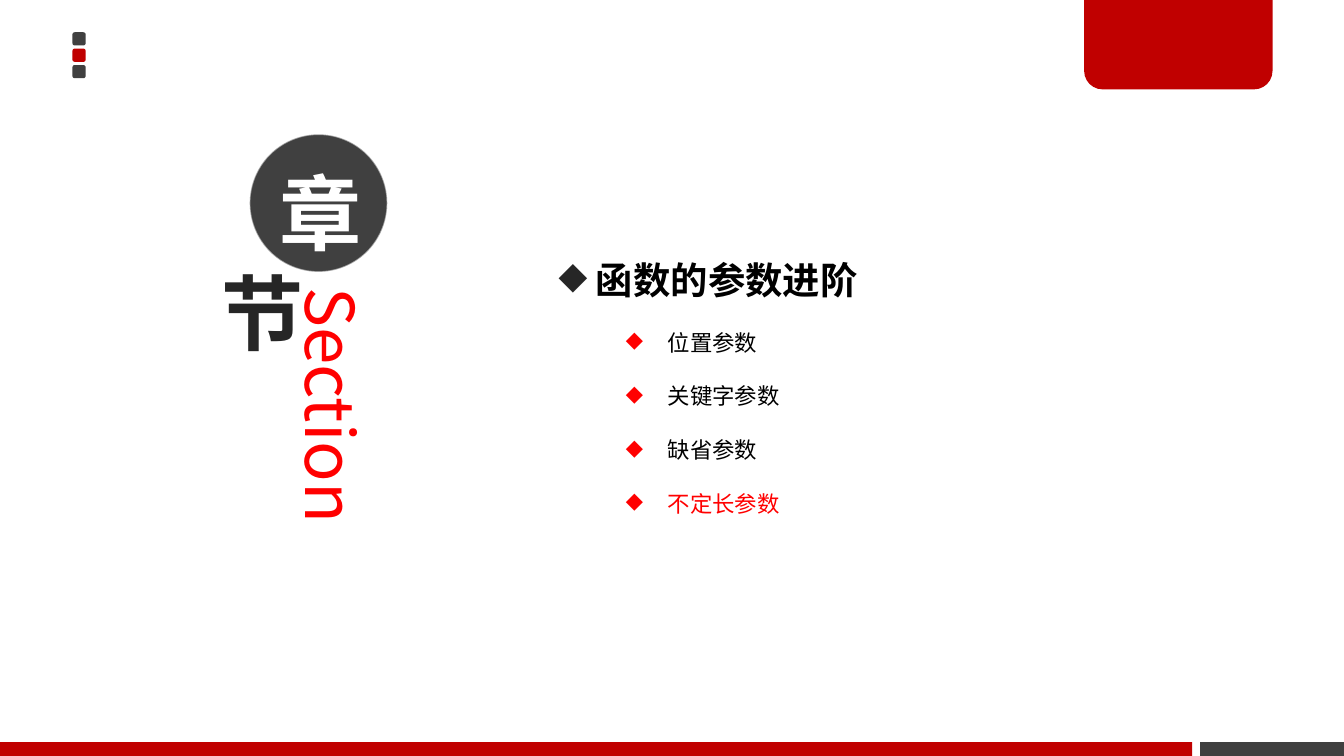
import pptx
import pptx.dml.color
import pptx.enum.shapes
import pptx.enum.text
import pptx.oxml.ns
import pptx.util
from lxml import etree
from pptx.util import Cm, Pt

COLORS = {
    "red": "C00000", "bright": "FF0000", "grey": "404040",
    "dark": "262626", "black": "000000", "white": "FFFFFF",
}
FONT = "Noto Sans CJK SC"
SLIDE_W, SLIDE_H = 25.4, 14.29
SHAPE = pptx.enum.shapes.MSO_SHAPE
qn = pptx.oxml.ns.qn


def rgb(name):
    return pptx.dml.color.RGBColor.from_string(COLORS[name])


def add_block(slide, kind, left, top, width, height, color=None):
    block = slide.shapes.add_shape(kind, Cm(left), Cm(top), Cm(width), Cm(height))
    block.shadow.inherit = False
    block.line.fill.background()
    if color:
        block.fill.solid()
        block.fill.fore_color.rgb = rgb(color)
    else:
        block.fill.background()
    return block


def set_font(paragraph, size, color, bold=False):
    """Format a paragraph, for Latin and East Asian letters alike."""
    font = paragraph.font
    font.name, font.size, font.bold = FONT, Pt(size), bold
    font.color.rgb = rgb(color)
    latin = font._element.find(qn("a:latin"))
    east_asian = etree.Element(qn("a:ea"), typeface=FONT)
    latin.addnext(east_asian)


def set_bullet(paragraph, color, margin, hanging):
    properties = paragraph._p.get_or_add_pPr()
    properties.set("marL", str(Cm(margin)))
    properties.set("indent", str(-Cm(hanging)))
    bullet_color = etree.Element(qn("a:buClr"))
    etree.SubElement(bullet_color, qn("a:srgbClr"), val=COLORS[color])
    bullet_char = etree.Element(qn("a:buChar"), char="◆")
    font_defaults = properties.find(qn("a:defRPr"))
    for part in (bullet_color, bullet_char):
        font_defaults.addprevious(part)


def set_insets(frame, bottom=0.1):
    frame.margin_left = frame.margin_right = Cm(0.18)
    frame.margin_top, frame.margin_bottom = Cm(0.1), Cm(bottom)


def add_character(circle, character, color, bottom=0.1):
    """Centre one large character in a circle and return its paragraph."""
    frame = circle.text_frame
    set_insets(frame, bottom)
    frame.word_wrap = True
    frame.vertical_anchor = pptx.enum.text.MSO_ANCHOR.MIDDLE
    paragraph = frame.paragraphs[0]
    paragraph.text = character
    paragraph.alignment = pptx.enum.text.PP_ALIGN.CENTER
    set_font(paragraph, 44, color, bold=True)
    return paragraph


def add_frame(slide, width, height):
    """Place the corner squares, the red tab and the footer bars."""
    for row, color in enumerate(("grey", "red", "grey")):
        square = add_block(slide, SHAPE.ROUNDED_RECTANGLE,
                           1.37, 0.61 + row * 0.31, 0.25, 0.25, color)
        square.adjustments[0] = 0.17

    bar_height, red_width, gap = 0.26, 22.53, 0.15
    bar_top = height - bar_height
    grey_left = red_width + gap
    add_block(slide, SHAPE.RECTANGLE, grey_left, bar_top,
              width - grey_left, bar_height, "grey")
    tab = add_block(slide, SHAPE.ROUND_2_SAME_RECTANGLE,
                    width - 4.91, -0.05, 3.56, 1.74, "red")
    tab.adjustments[0] = 0
    tab.adjustments[1] = 0.2
    add_block(slide, SHAPE.RECTANGLE, 0, bar_top, red_width, bar_height, "red")


def add_section_mark(slide, left, top):
    section = slide.shapes.add_textbox(
        Cm(left + 1.73), Cm(top + 2.79), Cm(1.78), Cm(7.34)).text_frame
    set_insets(section)
    section.word_wrap = True
    section._txBody.bodyPr.set("vert", "vert")
    section.paragraphs[0].text = "Section"
    set_font(section.paragraphs[0], 36, "bright")

    disc = add_block(slide, SHAPE.OVAL, left + 1.01, top, 2.6, 2.6, "grey")
    disc.line.color.rgb = rgb("white")
    disc.line.width = Pt(0)
    line_color = disc.line._ln.find(".//" + qn("a:srgbClr"))
    etree.SubElement(line_color, qn("a:alpha"), val="49000")
    upper = add_character(disc, "章", "white", bottom=0.38)
    upper.line_spacing = Pt(70)

    ring = add_block(slide, SHAPE.OVAL, left, top + 2.34, 2.03, 2.03)
    lower = add_character(ring, "节", "dark")
    outline = etree.Element(qn("a:ln"), w=str(Pt(0.25)))
    outline_fill = etree.SubElement(outline, qn("a:solidFill"))
    etree.SubElement(outline_fill, qn("a:srgbClr"), val=COLORS["white"])
    lower.font._element.insert(0, outline)


def add_agenda(slide, left, top, width, height, heading, topics, current):
    """List the topics under a heading, with the current one in red."""
    frame = slide.shapes.add_textbox(
        Cm(left), Cm(top), Cm(width), Cm(height)).text_frame
    frame.word_wrap = True
    frame.auto_size = pptx.enum.text.MSO_AUTO_SIZE.SHAPE_TO_FIT_TEXT
    first = frame.paragraphs[0]
    first.text = heading
    first.line_spacing = 2.0
    set_font(first, 20, "black", bold=True)
    set_bullet(first, "dark", 0.48, 0.48)
    for topic in topics:
        item = frame.add_paragraph()
        item.text = topic
        item.level = 1
        item.line_spacing = 2.0
        set_font(item, 12, "bright" if topic == current else "black")
        set_bullet(item, "bright", 2.06, 0.79)


def main():
    deck = pptx.Presentation()
    deck.slide_width, deck.slide_height = Cm(SLIDE_W), Cm(SLIDE_H)
    slide = deck.slides.add_slide(deck.slide_layouts[6])
    add_frame(slide, SLIDE_W, SLIDE_H)
    add_section_mark(slide, 3.71, 2.54)
    add_agenda(slide, 10.31, 3.89, 11.99, 7.09, " 函数的参数进阶",
               ("位置参数", "关键字参数", "缺省参数", "不定长参数"), "不定长参数")
    deck.save("out.pptx")


if __name__ == "__main__":
    main()
